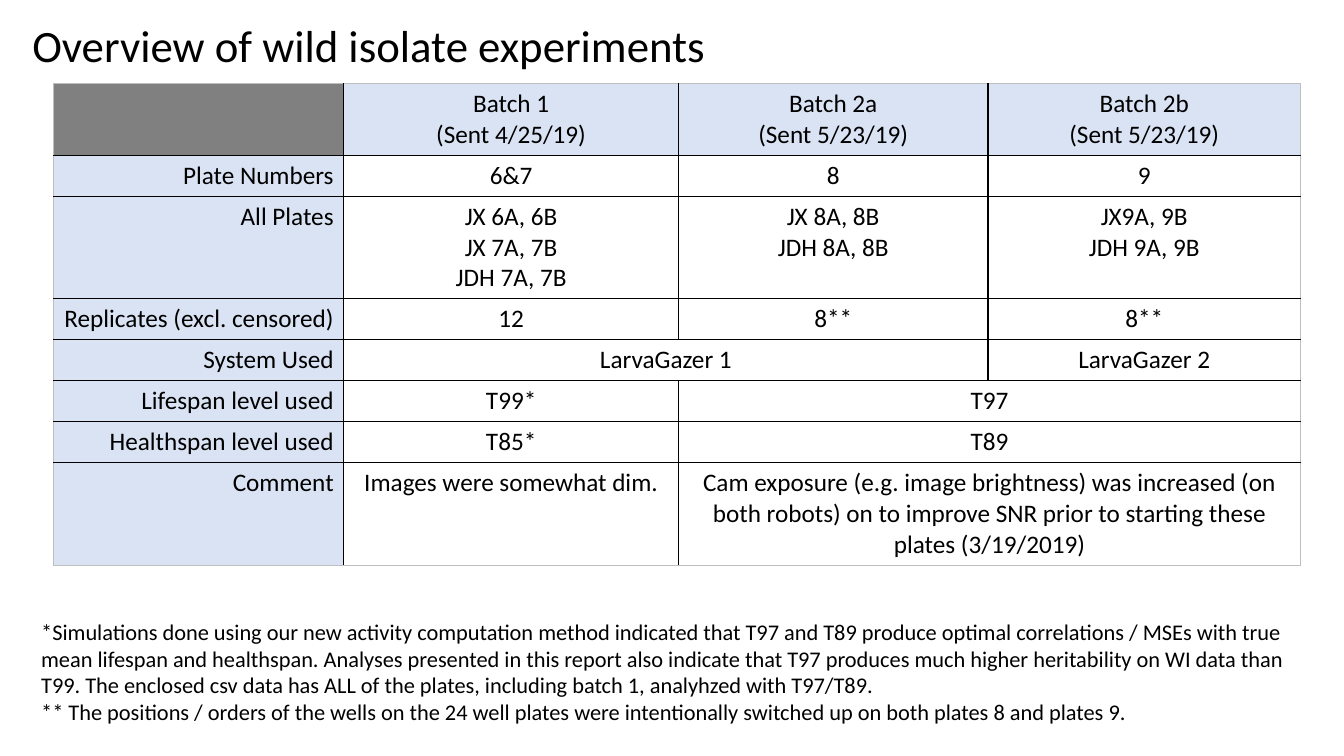
from dataclasses import dataclass
from typing import Optional

from lxml.etree import SubElement
from pptx import Presentation
from pptx.dml.color import RGBColor
from pptx.enum.text import MSO_ANCHOR as Anchor, MSO_AUTO_SIZE as Fit, PP_ALIGN as Align
from pptx.oxml.ns import qn
from pptx.slide import Slide
from pptx.table import Table, _Cell as Cell
from pptx.text.text import TextFrame as Frame
from pptx.util import Inches, Pt

BLACK = RGBColor(0x00, 0x00, 0x00)
WHITE = RGBColor(0xFF, 0xFF, 0xFF)
GREY = RGBColor(0x80, 0x80, 0x80)
PALE = RGBColor(0xDA, 0xE3, 0xF3)
EDGE = RGBColor(0xBF, 0xBF, 0xBF)

FONT = "Calibri"
UNIT = Inches(0.1)
COLS = [28.8, 33.2, 30.7, 31]


@dataclass
class Box:
    left: float
    top: float
    width: float
    height: float

    def place(self) -> tuple[int, ...]:
        return tuple(span(v) for v in (self.left, self.top, self.width, self.height))


@dataclass
class Row:
    label: str
    cells: list[Optional[str]]
    height: float = 4.07


ROWS = [
    Row("", ["Batch 1\n(Sent 4/25/19)", "Batch 2a\n(Sent 5/23/19)", "Batch 2b\n(Sent 5/23/19)"], 7.05),
    Row("Plate Numbers", ["6&7", "8", "9"]),
    Row("All Plates", ["JX 6A, 6B\nJX 7A, 7B\nJDH 7A, 7B", "JX 8A, 8B\nJDH 8A, 8B", "JX9A, 9B\nJDH 9A, 9B"], 10),
    Row("Replicates (excl. censored)", ["12", "8**", "8**"]),
    Row("System Used", ["LarvaGazer 1", None, "LarvaGazer 2"]),
    Row("Lifespan level used", ["T99*", "T97", None]),
    Row("Healthspan level used", ["T85*", "T89", None]),
    Row("Comment", [
        "Images were somewhat dim.",
        "Cam exposure (e.g. image brightness) was increased (on both robots) on to improve SNR "
        "prior to starting these plates (3/19/2019)",
        None,
    ], 10),
]

NOTES = [
    "*Simulations done using our new activity computation method indicated that T97 and T89 produce "
    "optimal correlations / MSEs with true mean lifespan and healthspan. Analyses presented in this "
    "report also indicate that T97 produces much higher heritability on WI data than T99. The enclosed "
    "csv data has ALL of the plates, including batch 1, analyhzed with T97/T89.",
    "** The positions / orders of the wells on the 24 well plates were intentionally switched up on "
    "both plates 8 and plates 9.",
]


def span(units: float) -> int:
    return round(units * UNIT)


def write(frame: Frame, text: str, size: int, align: Align) -> None:
    frame.text = text
    for para in frame.paragraphs:
        para.alignment = align
        for run in para.runs:
            font = run.font
            font.name, font.size, font.bold = FONT, Pt(size), False
            font.color.rgb = BLACK


def border(cell: Cell, sides: dict[str, bool]) -> None:
    props = cell._tc.get_or_add_tcPr()
    for spot, (side, outer) in enumerate(sides.items()):
        line = SubElement(props, qn(f"a:ln{side}"), w=str(Pt(0.5 if outer else 1)))
        fill = SubElement(line, qn("a:solidFill"))
        SubElement(fill, qn("a:srgbClr"), val=str(EDGE if outer else BLACK))
        props.insert(spot, line)


def fill_cell(table: Table, r: int, c: int, text: Optional[str]) -> None:
    cell = table.cell(r, c)
    head = r == 0 or c == 0
    cell.fill.solid()
    cell.fill.fore_color.rgb = GREY if r == c == 0 else PALE if head else WHITE
    last = c + (cell.span_width if cell.is_merge_origin else 1) == len(COLS)
    sides = {"L": c == 0, "R": last, "T": r == 0, "B": r == len(ROWS) - 1}
    if text is None:
        del sides["L"]
    elif text:
        write(cell.text_frame, text, 18, Align.RIGHT if c == 0 else Align.CENTER)
    border(cell, sides)


def add_grid(slide: Slide) -> None:
    box = Box(5.3, 8.3, sum(COLS), sum(row.height for row in ROWS))
    table = slide.shapes.add_table(len(ROWS), len(COLS), *box.place()).table
    table.first_row = table.horz_banding = False
    for col, width in zip(table.columns, COLS):
        col.width = span(width)
    for r, row in enumerate(ROWS):
        table.rows[r].height = span(row.height)
        texts = [row.label, *row.cells]
        for c, text in enumerate(texts):
            if text is None:
                table.cell(r, c - 1).merge(table.cell(r, c))
        for c, text in enumerate(texts):
            fill_cell(table, r, c, text)


def add_title(slide: Slide) -> None:
    title = slide.shapes.title
    title.left, title.top, title.width, title.height = Box(2.2, 1.3, 126.8, 6.4).place()
    frame = title.text_frame
    frame.auto_size, frame.vertical_anchor = Fit.NONE, Anchor.TOP
    write(frame, "Overview of wild isolate experiments", 32, Align.LEFT)


def add_notes(slide: Slide) -> None:
    frame = slide.shapes.add_textbox(*Box(3.1, 60.8, 128.2, 11.8).place()).text_frame
    frame.word_wrap = True
    write(frame, "\n".join(NOTES), 16, Align.LEFT)


def main() -> None:
    deck = Presentation()
    deck.slide_width, deck.slide_height = Inches(13.33), Inches(7.5)
    slide = deck.slides.add_slide(deck.slide_layouts.get_by_name("Title Only"))
    add_title(slide)
    add_grid(slide)
    add_notes(slide)
    deck.save("out.pptx")


if __name__ == "__main__":
    main()
